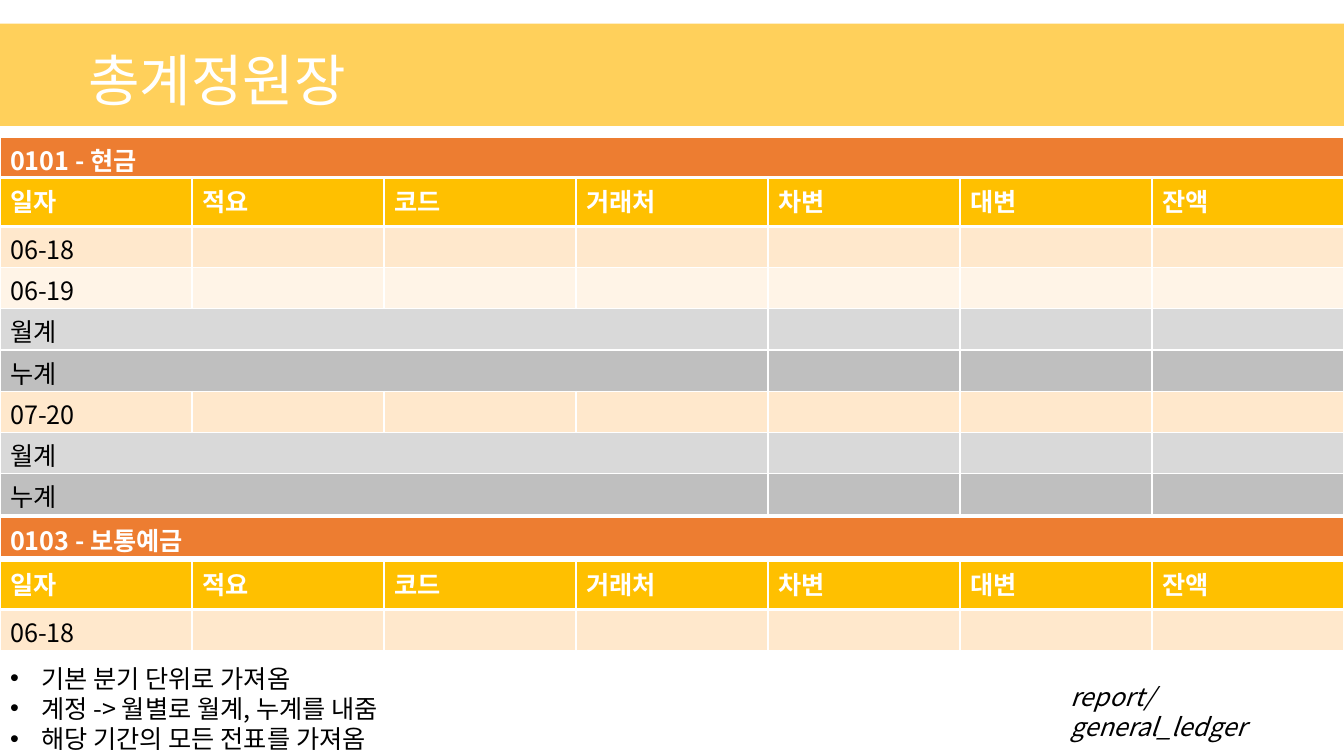
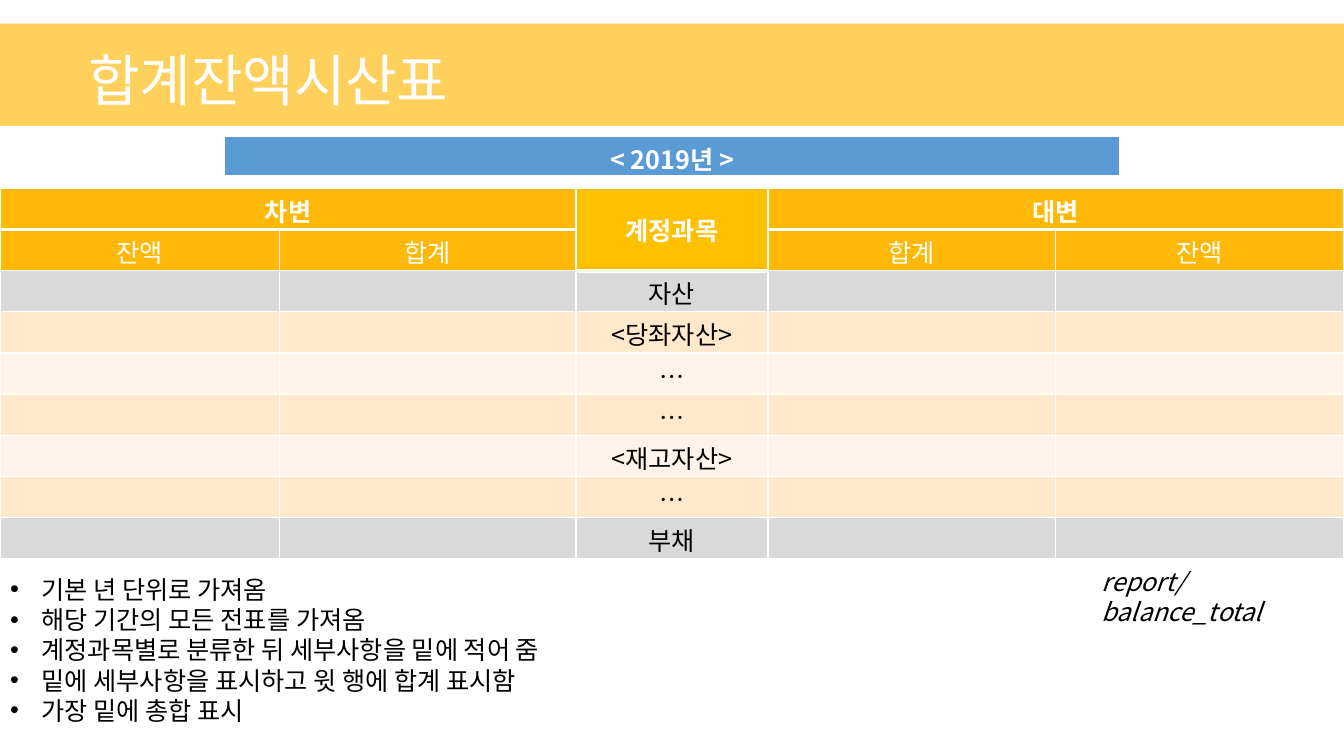
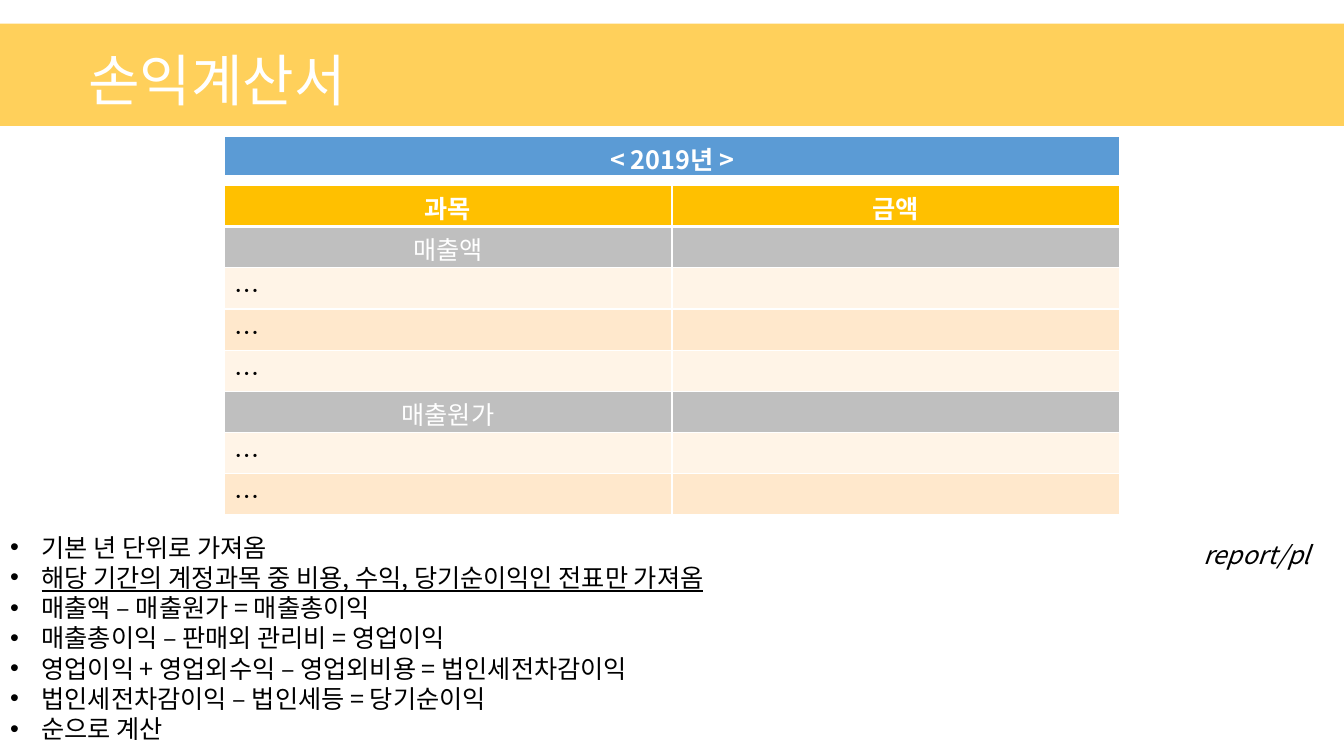
from dataclasses import dataclass
from itertools import product

from lxml.etree import SubElement
from pptx import Presentation
from pptx.dml.color import RGBColor
from pptx.enum.text import MSO_ANCHOR as Anchor, MSO_AUTO_SIZE as AutoSize, PP_ALIGN as Align
from pptx.oxml import parse_xml
from pptx.oxml.ns import nsdecls, qn
from pptx.util import Pt

FONT = "Noto Sans CJK KR"
WHITE, BLACK, BAND, AMBER = "FFFFFF", "000000", "FFD05B", "FFC000"
PAGE_WIDTH, PAGE_HEIGHT = 960, 540
ROW, TALL_ROW, LINE = 29.4, 34.4, 21.6
THIN, THICK = 1, 3
YEAR_LEFT, YEAR_WIDTH = 160, 640
LEDGER_HEADS = ["일자", "적요", "코드", "거래처", "차변", "대변", "잔액"]


@dataclass
class RowStyle:
    """Look of one kind of table row."""
    fill: str
    ink: str = BLACK
    bold: bool = False
    align: object = None
    height: float = ROW


STYLES = {
    "account": RowStyle("ED7D31", WHITE, True),
    "year": RowStyle("5B9BD5", WHITE, True),
    "tall head": RowStyle(AMBER, WHITE, True, height=TALL_ROW),
    "head": RowStyle(AMBER, WHITE, True),
    "side head": RowStyle("FFB805", WHITE, True),
    "subhead": RowStyle("FFB805", WHITE),
    "section": RowStyle("BFBFBF", WHITE, align=Align.CENTER),
    "month": RowStyle("D9D9D9"),
    "sum": RowStyle("BFBFBF"),
    "peach": RowStyle("FFE8CC"),
    "cream": RowStyle("FFF4E7"),
}


def paint(fill, color):
    """Make a fill solid in a hex colour."""
    fill.solid()
    fill.fore_color.rgb = RGBColor.from_string(color)


def assign(target, values):
    """Set attributes from a dict of format values."""
    for name, value in values.items():
        setattr(target, name, value)


def set_frame(frame, **values):
    """Apply the shared text frame settings and any changes to them."""
    assign(frame, {"word_wrap": True, "auto_size": AutoSize.NONE,
                   "vertical_anchor": Anchor.TOP, "margin_left": Pt(7.2),
                   "margin_top": Pt(5.5), "margin_bottom": Pt(0), **values})


def write(para, text, size=18, color=BLACK, align=Align.LEFT, line=LINE, **font):
    """Write one formatted span into a paragraph."""
    assign(para, {"alignment": align, "line_spacing": Pt(line),
                  "space_before": Pt(0), "space_after": Pt(0)})
    if text:
        span = para.add_run()
        span.text = text
        assign(span.font, {"name": FONT, "size": Pt(size), **font})
        paint(span.font.fill, color)
        SubElement(span._r.get_or_add_rPr(), qn("a:ea"), typeface=FONT)


def place(shape, left, top, width, height):
    """Move and size a shape in points."""
    assign(shape, {"left": Pt(left), "top": Pt(top),
                   "width": Pt(width), "height": Pt(height)})


def set_edges(cell, top, bottom):
    """Draw white cell borders with the given top and bottom widths."""
    props = cell._tc.get_or_add_tcPr()
    edges = {"lnL": THIN, "lnR": THIN, "lnT": top, "lnB": bottom}
    for index, (tag, width) in enumerate(edges.items()):
        for old in props.findall(qn(f"a:{tag}")):
            props.remove(old)
        props.insert(index, parse_xml(
            f'<a:{tag} {nsdecls("a")} w="{Pt(width)}"><a:solidFill>'
            f'<a:srgbClr val="{WHITE}"/></a:solidFill></a:{tag}>'))


def add_page(deck, title, items, body_top, underlined=()):
    """Add a page with the title band and a bulleted list."""
    page = deck.slides.add_slide(deck.slide_layouts[1])
    band, body = page.shapes.title, page.placeholders[1]
    place(band, 0, 16.8, PAGE_WIDTH, 73.2)
    paint(band.fill, BAND)
    set_frame(band.text_frame, vertical_anchor=Anchor.MIDDLE,
              margin_left=Pt(63), margin_top=Pt(6))
    write(band.text_frame.paragraphs[0], title, 40, WHITE, line=48)
    place(body, 0, body_top, 600, 7 + LINE * len(items))
    frame = body.text_frame
    set_frame(frame)
    for index, item in enumerate(items):
        para = frame.add_paragraph() if index else frame.paragraphs[0]
        write(para, item, underline=index in underlined)
        props = para._p.get_or_add_pPr()
        props.set("marL", str(Pt(22.5)))
        props.set("indent", str(Pt(-22.5)))
    return page


def add_route(page, text, left, top, width):
    """Add the italic route of a report."""
    box = page.shapes.add_textbox(Pt(left), Pt(top), Pt(width), Pt(29))
    set_frame(box.text_frame)
    write(box.text_frame.paragraphs[0], text, italic=True)


def add_grid(page, left, top, widths, rows, align=Align.LEFT):
    """Add a table from rows of a style name and leading cell texts."""
    styles = [STYLES[name] for name, _ in rows]
    height = sum(style.height for style in styles)
    table = page.shapes.add_table(len(rows), len(widths), Pt(left), Pt(top),
                                  Pt(sum(widths)), Pt(height)).table
    assign(table, {"first_row": False, "horz_banding": False})
    for column, width in zip(table.columns, widths):
        column.width = Pt(width)
    for row, style in zip(table.rows, styles):
        row.height = Pt(style.height)
    for r, c in product(range(len(rows)), range(len(widths))):
        cell, style, texts = table.cell(r, c), styles[r], rows[r][1]
        assign(cell, {"margin_top": Pt(7.2), "margin_bottom": Pt(0)})
        write(cell.text_frame.paragraphs[0], texts[c] if c < len(texts) else "",
              color=style.ink, align=style.align or align, bold=style.bold)
        set_edges(cell, THICK if r and styles[r - 1].bold else THIN,
                  THICK if style.bold else THIN)
        paint(cell.fill, style.fill)
    return table


def add_ledger(page, account, top, head_top, rows):
    """Add an account bar and the ledger table below it."""
    add_grid(page, 0, top, [PAGE_WIDTH], [("account", [account])])
    columns = len(LEDGER_HEADS)
    table = add_grid(page, 0, head_top, [PAGE_WIDTH / columns] * columns,
                     [("tall head", LEDGER_HEADS)] + rows)
    for r, (name, _) in enumerate(rows, 1):
        if name in ("month", "sum"):
            table.cell(r, 0).merge(table.cell(r, 3))


def add_year(page):
    """Add the year selector bar."""
    add_grid(page, YEAR_LEFT, 97.2, [YEAR_WIDTH], [("year", ["< 2019년 >"])], Align.CENTER)


def build_general_ledger(deck):
    """Build the general ledger page."""
    page = add_page(deck, "총계정원장", [
        "기본 분기 단위로 가져옴",
        "계정 -> 월별로 월계, 누계를 내줌",
        "해당 기간의 모든 전표를 가져옴"], 468)
    add_route(page, "report/general_ledger", 757.4, 481, 193.7)
    totals = [("month", ["월계"]), ("sum", ["누계"])]
    add_ledger(page, "0101 - 현금", 98, 127.4,
               [("peach", ["06-18"]), ("cream", ["06-19"]), *totals,
                ("peach", ["07-20"]), *totals])
    add_ledger(page, "0103 - 보통예금", 369.4, 401, [("peach", ["06-18"])])


def build_trial_balance(deck):
    """Build the trial balance page."""
    page = add_page(deck, "합계잔액시산표", [
        "기본 년 단위로 가져옴",
        "해당 기간의 모든 전표를 가져옴",
        "계정과목별로 분류한 뒤 세부사항을 밑에 적어 줌",
        "밑에 세부사항을 표시하고 윗 행에 합계 표시함",
        "가장 밑에 총합 표시"], 404.6)
    add_route(page, "report/balance_total", 779.8, 399, 180)
    subjects = [("month", "자산"), ("peach", "<당좌자산>"), ("cream", "…"), ("peach", "…"),
                ("cream", "<재고자산>"), ("peach", "…"), ("month", "부채")]
    rows = [("side head", ["차변", "", "계정과목", "대변"]),
            ("subhead", ["잔액", "합계", "", "합계", "잔액"])]
    rows += [(name, ["", "", text]) for name, text in subjects]
    table = add_grid(page, 0, 134.6, [199.5, 212, 137.1, 205.7, 205.7], rows, Align.CENTER)
    for first, last in (((0, 0), (0, 1)), ((0, 2), (1, 2)), ((0, 3), (0, 4))):
        table.cell(*first).merge(table.cell(*last))
    subject = table.cell(0, 2)
    assign(subject, {"vertical_anchor": Anchor.MIDDLE, "margin_top": Pt(4)})
    paint(subject.fill, AMBER)
    set_edges(subject, THIN, THICK)
    set_edges(table.cell(1, 2), THIN, THICK)
    set_edges(table.cell(2, 2), THICK, THIN)
    add_year(page)


def build_income_statement(deck):
    """Build the income statement page."""
    page = add_page(deck, "손익계산서", [
        "기본 년 단위로 가져옴",
        "해당 기간의 계정과목 중 비용, 수익, 당기순이익인 전표만 가져옴",
        "매출액 – 매출원가 = 매출총이익",
        "매출총이익 – 판매외 관리비 = 영업이익",
        "영업이익 + 영업외수익 – 영업외비용 = 법인세전차감이익",
        "법인세전차감이익 – 법인세등 = 당기순이익",
        "순으로 계산"], 374.4, underlined=(1,))
    add_route(page, "report/pl", 852.5, 379.5, 105)
    details = [(name, ["…"]) for name in ("cream", "peach", "cream")]
    table = add_grid(page, YEAR_LEFT, 132.5, [YEAR_WIDTH / 2] * 2,
                     [("head", ["과목", "금액"]), ("section", ["매출액"]), *details,
                      ("section", ["매출원가"]), *details[:2]])
    for cell in table.rows[0].cells:
        cell.text_frame.paragraphs[0].alignment = Align.CENTER
    add_year(page)


def main():
    """Build and save the deck."""
    deck = Presentation()
    assign(deck, {"slide_width": Pt(PAGE_WIDTH), "slide_height": Pt(PAGE_HEIGHT)})
    build_general_ledger(deck)
    build_trial_balance(deck)
    build_income_statement(deck)
    deck.save("out.pptx")


if __name__ == "__main__":
    main()
